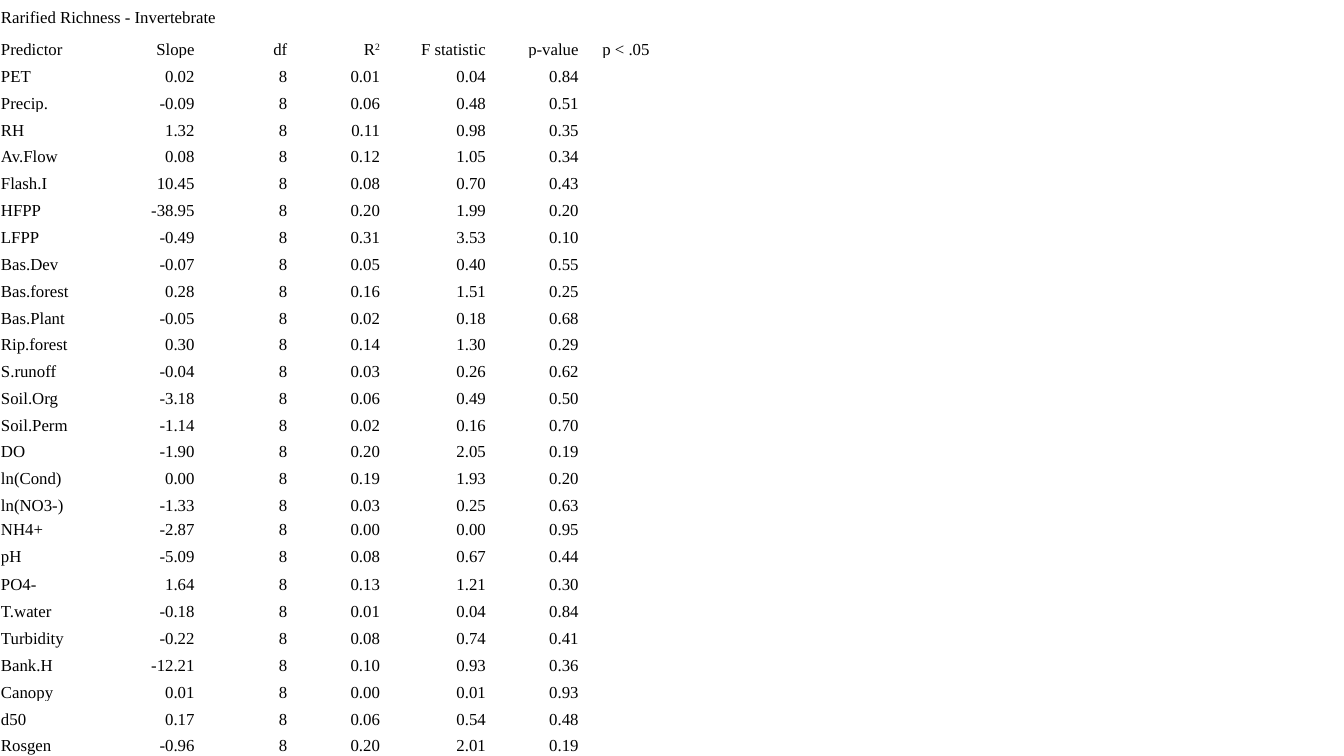
import pptx
import pptx.dml.color
import pptx.enum.text
import pptx.util
from lxml import etree

COLORS = {"text": "000000"}
ALIGN = pptx.enum.text.PP_ALIGN
TITLE = "Rarified Richness - Invertebrate"
HEADINGS = ["Predictor", "Slope", "df", "R^2", "F statistic", "p-value", "p < .05"]
DEGREES_OF_FREEDOM = "8"
RESULTS = """
PET 0.02 0.01 0.04 0.84
Precip. -0.09 0.06 0.48 0.51
RH 1.32 0.11 0.98 0.35
Av.Flow 0.08 0.12 1.05 0.34
Flash.I 10.45 0.08 0.70 0.43
HFPP -38.95 0.20 1.99 0.20
LFPP -0.49 0.31 3.53 0.10
Bas.Dev -0.07 0.05 0.40 0.55
Bas.forest 0.28 0.16 1.51 0.25
Bas.Plant -0.05 0.02 0.18 0.68
Rip.forest 0.30 0.14 1.30 0.29
S.runoff -0.04 0.03 0.26 0.62
Soil.Org -3.18 0.06 0.49 0.50
Soil.Perm -1.14 0.02 0.16 0.70
DO -1.90 0.20 2.05 0.19
ln(Cond) 0.00 0.19 1.93 0.20
ln(NO3-) -1.33 0.03 0.25 0.63
NH4+ -2.87 0.00 0.00 0.95
pH -5.09 0.08 0.67 0.44
PO4- 1.64 0.13 1.21 0.30
T.water -0.18 0.01 0.04 0.84
Turbidity -0.22 0.08 0.74 0.41
Bank.H -12.21 0.10 0.93 0.36
Canopy 0.01 0.00 0.01 0.93
d50 0.17 0.06 0.54 0.48
Rosgen -0.96 0.20 2.01 0.19
"""
COLUMN_WIDTHS = [1.02, 0.92, 0.92, 0.92, 1.05, 0.92, 0.92]
COLUMN_ALIGNMENTS = [ALIGN.LEFT] + [ALIGN.RIGHT] * 5 + [ALIGN.CENTER]
SPECIAL_HEIGHTS = {1: 0.32, 16: 0.26, 19: 0.24, 21: 0.28}
TITLE_SPAN = 4


class StatisticsPage:
    """Holds the text style and the slide, and adds elements to it."""

    def __init__(self, deck):
        self.font_name = "Times New Roman"
        self.font_size = pptx.util.Pt(12)
        self.inset = pptx.util.Inches(0.01)
        self.height = deck.slide_height
        self.page = deck.slides.add_slide(deck.slide_layouts[6])

    def add_cell(self, cell, text, alignment):
        cell.fill.background()
        cell.vertical_anchor = pptx.enum.text.MSO_ANCHOR.BOTTOM
        cell.margin_left = cell.margin_right = cell.margin_top = self.inset
        cell.margin_bottom = 0
        para = cell.text_frame.paragraphs[0]
        para.alignment = alignment
        para.font.name = self.font_name
        para.font.size = self.font_size
        para.font.color.rgb = pptx.dml.color.RGBColor.from_string(COLORS["text"])
        base, _, exponent = text.partition("^")
        if base:
            para.add_run().text = base
        else:
            ending = etree.SubElement(para._p, pptx.oxml.ns.qn("a:endParaRPr"))
            ending.set("sz", str(self.font_size.centipoints))
        if exponent:
            span = para.add_run()
            span.text = exponent
            span._r.get_or_add_rPr().set("baseline", "30000")

    def add_table(self, rows, widths, alignments, special_heights):
        column_widths = [pptx.util.Inches(width) for width in widths]
        frame = self.page.shapes.add_table(
            len(rows), len(widths), 0, 0, sum(column_widths), self.height)
        table = frame.table
        table.first_row = table.horz_banding = False
        for column, width in zip(table.columns, column_widths):
            column.width = width
        special = {index: pptx.util.Inches(height)
                   for index, height in special_heights.items()}
        usual = (self.height - sum(special.values())) // (len(rows) - len(special))
        for row_index, values in enumerate(rows):
            table.rows[row_index].height = special.get(row_index, usual)
            for column_index, text in enumerate(values):
                self.add_cell(table.cell(row_index, column_index), text,
                              alignments[column_index])
        return table


def main():
    deck = pptx.Presentation()
    deck.slide_width = pptx.util.Inches(13.33)
    deck.slide_height = pptx.util.Inches(7.5)
    rows = [[TITLE] + [""] * (len(HEADINGS) - 1), HEADINGS]
    for line in RESULTS.strip().splitlines():
        predictor, slope, *statistics = line.split()
        rows.append([predictor, slope, DEGREES_OF_FREEDOM, *statistics, ""])
    table = StatisticsPage(deck).add_table(
        rows, COLUMN_WIDTHS, COLUMN_ALIGNMENTS, SPECIAL_HEIGHTS)
    table.cell(0, 0).merge(table.cell(0, TITLE_SPAN - 1))
    deck.save("out.pptx")


if __name__ == "__main__":
    main()
